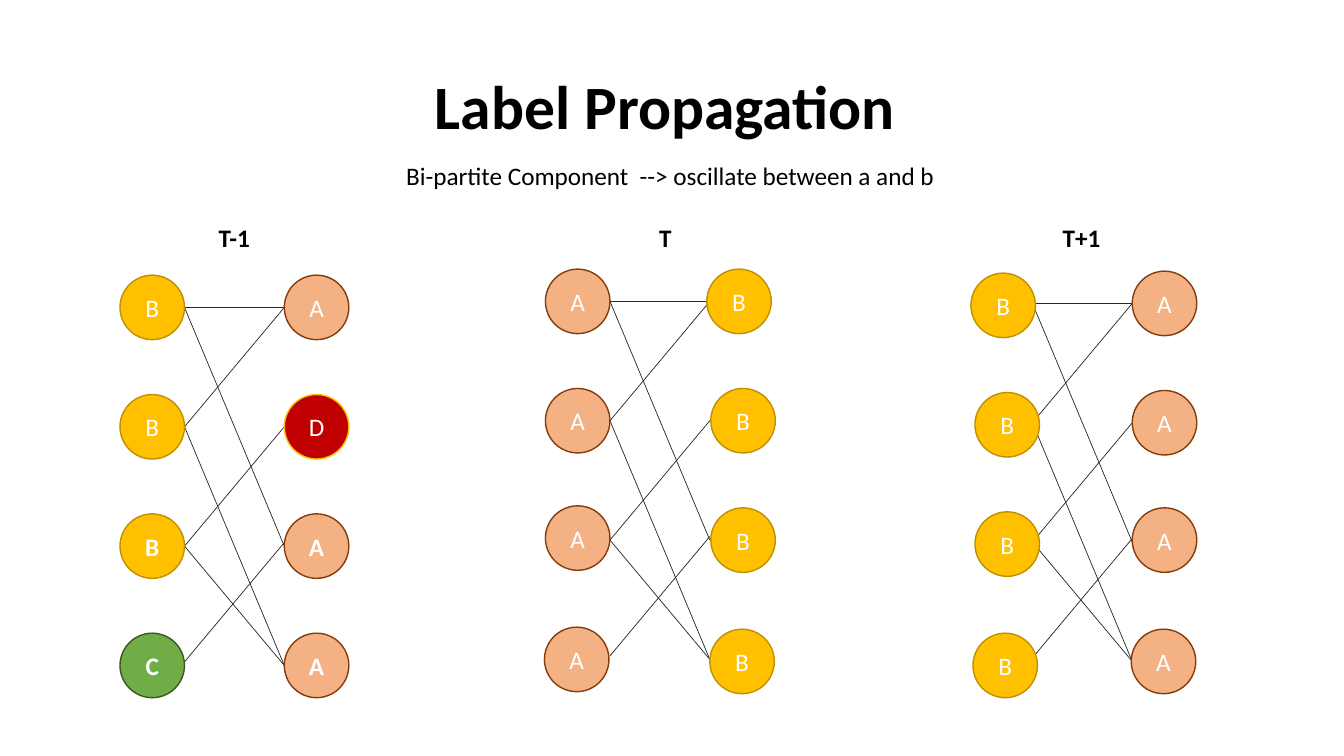
from dataclasses import dataclass, field

from lxml.etree import SubElement
from pptx import Presentation
from pptx.dml.color import RGBColor
from pptx.enum.shapes import MSO_CONNECTOR, MSO_SHAPE
from pptx.enum.text import MSO_ANCHOR, MSO_AUTO_SIZE, PP_ALIGN
from pptx.oxml.ns import qn
from pptx.util import Inches, Pt

FONT = "Calibri"
COLORS = {"text": "000000", "node_text": "FFFFFF", "edge": "262626"}
LABEL_FILL = {"A": "F4B183", "B": "FFC000", "C": "70AD47", "D": "C00000"}
LABEL_LINE = {"A": "843C0B", "B": "BF9000", "C": "385723", "D": "FFC000"}

# Grid of one graph, in inches
NODE = 0.64
ROW = 1.184
EDGE_SPAN = 0.99

# Edges as (left row, right row); the last one sits slightly higher
EDGES = [(0, 0), (0, 2), (1, 0), (1, 3), (2, 1), (2, 3), (2.97, 1.97)]


@dataclass
class Step:
    name: str
    name_box: tuple  # left, width
    left_labels: str
    right_labels: str
    left: float
    right: float
    left_top: float
    right_top: float
    edge_left: float
    edge_top: float
    bold_rows: tuple = ()
    nudges: dict = field(default_factory=dict)  # (side, row): (dx, dy)


STEPS = [
    Step("T-1", (2.07, 0.51), "BBBC", "ADAA", 1.19, 2.82, 2.73, 2.73,
         1.83, 3.05, bold_rows=(2, 3)),
    Step("T", (6.44, 0.33), "AAAA", "BBBB", 5.41, 7.05, 2.67, 2.67,
         6.05, 2.99,
         nudges={(0, 2): (0, -0.02), (0, 3): (-0.01, 0),
                 (1, 0): (-0.04, 0), (1, 3): (-0.01, 0.02)}),
    Step("T+1", (10.44, 0.58), "BBBB", "AAAA", 9.67, 11.23, 2.71, 2.69,
         10.24, 3.01,
         nudges={(0, 0): (-0.04, 0), (0, 3): (-0.02, 0.02),
                 (1, 2): (0, -0.02), (1, 3): (-0.01, 0)}),
]


def rgb(value):
    return RGBColor.from_string(value)


def format_text(frame, size, color, bold=False):
    for run in frame.paragraphs[0].runs:
        run.font.name = FONT
        run.font.size = Pt(size)
        run.font.bold = bold
        run.font.color.rgb = rgb(color)


def add_caption(slide, text, left, top, width, bold=False):
    frame = slide.shapes.add_textbox(
        Inches(left), Inches(top), Inches(width), Inches(0.4)).text_frame
    frame.text = text
    frame.word_wrap = False
    frame.auto_size = MSO_AUTO_SIZE.SHAPE_TO_FIT_TEXT
    format_text(frame, 18, COLORS["text"], bold)


def add_title(slide, text):
    frame = slide.shapes.add_textbox(
        Inches(3.78), Inches(0.36), Inches(5.64), Inches(1.45)).text_frame
    frame.text = text
    frame.word_wrap = True
    frame.vertical_anchor = MSO_ANCHOR.MIDDLE
    frame.paragraphs[0].alignment = PP_ALIGN.CENTER
    frame.paragraphs[0].line_spacing = 0.9
    format_text(frame, 44, COLORS["text"], bold=True)


def add_node(slide, label, left, top, bold):
    node = slide.shapes.add_shape(
        MSO_SHAPE.OVAL, Inches(left), Inches(top), Inches(NODE), Inches(NODE))
    node.shadow.inherit = False
    node.fill.solid()
    node.fill.fore_color.rgb = rgb(LABEL_FILL[label])
    node.line.color.rgb = rgb(LABEL_LINE[label])
    node.line.width = Pt(1)
    frame = node.text_frame
    frame.text = label
    frame.vertical_anchor = MSO_ANCHOR.MIDDLE
    frame.paragraphs[0].alignment = PP_ALIGN.CENTER
    format_text(frame, 18, COLORS["node_text"], bold)


def add_edge(slide, step, left_row, right_row):
    edge = slide.shapes.add_connector(
        MSO_CONNECTOR.STRAIGHT,
        Inches(step.edge_left), Inches(step.edge_top + left_row * ROW),
        Inches(step.edge_left + EDGE_SPAN),
        Inches(step.edge_top + right_row * ROW))
    edge.line.color.rgb = rgb(COLORS["edge"])
    edge.line.width = Pt(0.5)
    SubElement(edge._element.spPr, qn("a:effectLst"))


def add_step(slide, step):
    name_left, name_width = step.name_box
    add_caption(slide, step.name, name_left, 2.16, name_width, bold=True)

    # Edges lie behind the nodes
    for left_row, right_row in EDGES:
        add_edge(slide, step, left_row, right_row)

    sides = [(step.left_labels, step.left, step.left_top),
             (step.right_labels, step.right, step.right_top)]
    for side, (labels, left, top) in enumerate(sides):
        for row, label in enumerate(labels):
            dx, dy = step.nudges.get((side, row), (0, 0))
            add_node(slide, label, left + dx, top + row * ROW + dy,
                     row in step.bold_rows)


def main():
    prs = Presentation()
    prs.slide_width = Inches(13.33)
    prs.slide_height = Inches(7.5)
    slide = prs.slides.add_slide(prs.slide_layouts[6])

    # Heading
    add_title(slide, "Label Propagation")
    add_caption(slide, "Bi-partite Component  --> oscillate between a and b",
                3.93, 1.54, 5.51)

    # Three time steps of the same graph
    for step in STEPS:
        add_step(slide, step)

    prs.save("out.pptx")


if __name__ == "__main__":
    main()
